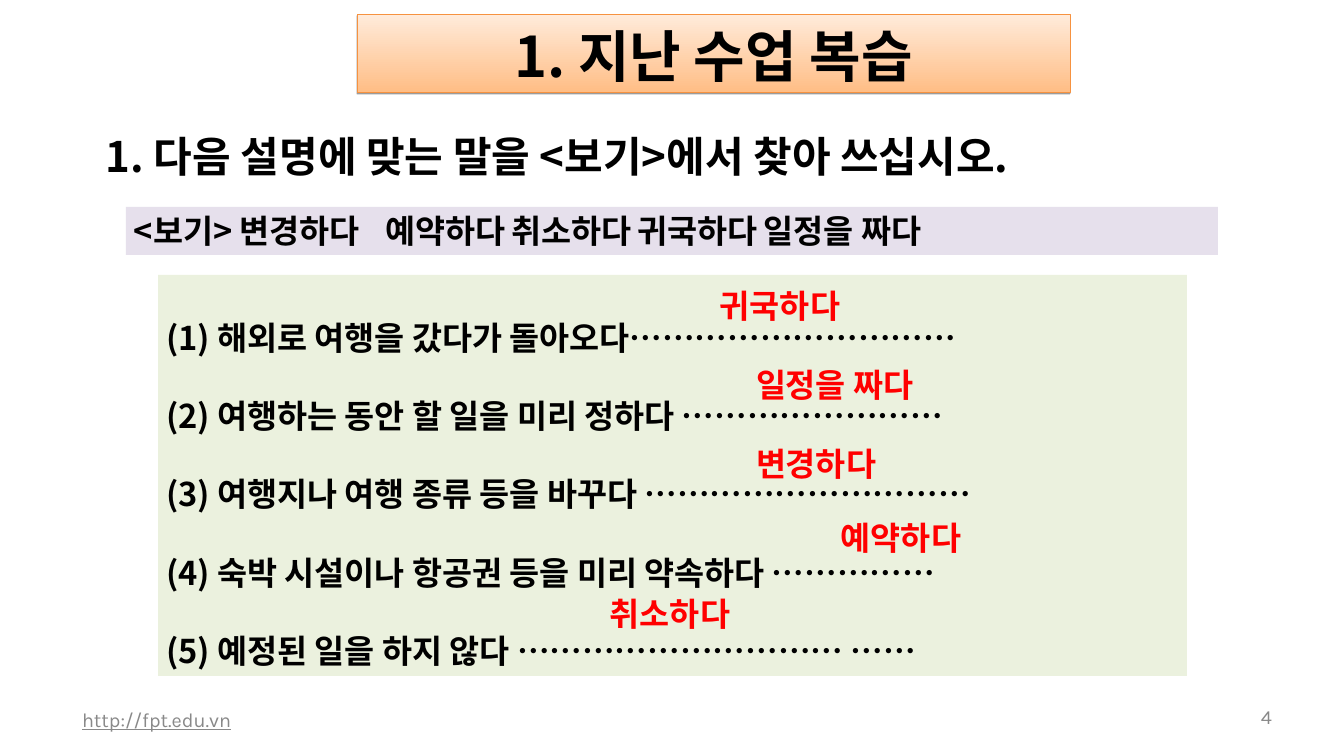
from dataclasses import dataclass

from lxml.etree import SubElement
from pptx import Presentation
from pptx.dml.color import RGBColor
from pptx.enum.text import MSO_ANCHOR, MSO_AUTO_SIZE, PP_ALIGN
from pptx.oxml.ns import qn
from pptx.util import Emu, Pt

PX_PER_INCH = 84


@dataclass(frozen=True)
class Theme:
    korean_font: str = "Noto Sans CJK KR"
    footer_font: str = "Karla"
    black: str = "000000"
    answer: str = "FF0000"
    footer: str = "898989"
    word_bank: str = "E6E0EC"
    questions: str = "EBF1DE"
    title_bottom: str = "FFBE86"
    title_top: str = "FFEBDB"
    title_line: str = "F69240"
    title_size: int = 48
    instruction_size: int = 36
    text_size: int = 28
    footer_size: int = 17
    question_pitch: int = 67


THEME = Theme()


@dataclass(frozen=True)
class Box:
    left: int
    top: int
    width: int
    height: int


@dataclass(frozen=True)
class Answer:
    text: str
    box: Box


QUESTIONS = [
    "(1) 해외로 여행을 갔다가 돌아오다…………………………",
    "(2) 여행하는 동안 할 일을 미리 정하다 ……………………",
    "(3) 여행지나 여행 종류 등을 바꾸다 …………………………",
    "(4) 숙박 시설이나 항공권 등을 미리 약속하다 ……………",
    "(5) 예정된 일을 하지 않다 ………………………… ……",
]
WORD_BANK = ["<보기> 변경하다", "예약하다", "취소하다", "귀국하다", "일정을 짜다"]
WORD_TABS = (313, 498, 663, 828)
ANSWERS = [
    Answer("귀국하다", Box(712, 281, 302, 48)),
    Answer("일정을 짜다", Box(748, 360, 322, 48)),
    Answer("변경하다", Box(748, 439, 322, 48)),
    Answer("예약하다", Box(833, 513, 322, 48)),
    Answer("취소하다", Box(602, 589, 407, 48)),
]


def px(length: int) -> Emu:
    return Emu(round(length * 914400 / PX_PER_INCH))


def place(shape, box: Box) -> None:
    shape.left, shape.top = px(box.left), px(box.top)
    shape.width, shape.height = px(box.width), px(box.height)


def write(shape, lines: list[str], *, size: int = THEME.text_size,
          color: str = THEME.black, font: str = THEME.korean_font,
          bold: bool = True, underline: bool = False,
          align: PP_ALIGN = PP_ALIGN.LEFT, anchor: MSO_ANCHOR = MSO_ANCHOR.TOP,
          pitch: float | None = None, inset: tuple[int, int] = (8, 4),
          tabs: tuple[int, ...] = ()) -> None:
    """Fill the shape with one paragraph per line; pitch is in points."""
    frame = shape.text_frame
    frame.word_wrap = True
    frame.auto_size = MSO_AUTO_SIZE.NONE
    frame.vertical_anchor = anchor
    frame.margin_left = frame.margin_right = px(inset[0])
    frame.margin_top = frame.margin_bottom = px(inset[1])
    for index, line in enumerate(lines):
        paragraph = frame.paragraphs[0] if index == 0 else frame.add_paragraph()
        properties = paragraph._p.get_or_add_pPr()
        properties.set("marL", "0")
        properties.set("indent", "0")
        SubElement(properties, qn("a:buNone"))
        if tabs:
            tab_list = SubElement(properties, qn("a:tabLst"))
            for position in tabs:
                SubElement(tab_list, qn("a:tab"), pos=str(px(position)), algn="l")
        paragraph.alignment = align
        paragraph.space_before = Pt(0)
        paragraph.line_spacing = Pt(pitch or round(size * 1.2, 1))
        run = paragraph.add_run()
        run.text = line
        run.font.size = Pt(size)
        run.font.bold = bold
        run.font.underline = underline
        run.font.color.rgb = RGBColor.from_string(color)
        run.font.name = font
        SubElement(run._r.get_or_add_rPr(), qn("a:ea"), typeface=font)


def add_text(slide, box: Box, lines: list[str], *, fill: str | None = None,
             **text_format) -> None:
    shape = slide.shapes.add_textbox(0, 0, 0, 0)
    place(shape, box)
    if fill:
        shape.fill.solid()
        shape.fill.fore_color.rgb = RGBColor.from_string(fill)
    write(shape, lines, **text_format)


def format_title(title) -> None:
    place(title, Box(357, 14, 713, 78))
    title.fill.gradient()
    title.fill.gradient_angle = 90
    stop_colors = (THEME.title_bottom, THEME.title_top)
    for stop, position, color in zip(title.fill.gradient_stops, (0, 1), stop_colors):
        stop.position = position
        stop.color.rgb = RGBColor.from_string(color)
    title.line.color.rgb = RGBColor.from_string(THEME.title_line)
    title.line.width = Pt(0.75)
    effects = SubElement(title._element.spPr, qn("a:effectLst"))
    shadow = SubElement(effects, qn("a:outerShdw"), blurRad="0",
                        dist=str(Pt(1.6)), dir="5400000", rotWithShape="0")
    shadow_color = SubElement(shadow, qn("a:srgbClr"), val=THEME.black)
    SubElement(shadow_color, qn("a:alpha"), val="38000")
    write(title, ["1. 지난 수업 복습"], size=THEME.title_size,
          align=PP_ALIGN.CENTER, inset=(8, 8))


def format_questions(body) -> None:
    place(body, Box(158, 275, 1029, 401))
    body.fill.solid()
    body.fill.fore_color.rgb = RGBColor.from_string(THEME.questions)
    write(body, QUESTIONS, pitch=THEME.question_pitch)


def main() -> None:
    presentation = Presentation()
    presentation.slide_width, presentation.slide_height = px(1344), px(756)
    slide = presentation.slides.add_slide(presentation.slide_layouts[1])
    format_title(slide.shapes.title)
    format_questions(slide.placeholders[1])
    add_text(slide, Box(98, 127, 1029, 109),
             ["1. 다음 설명에 맞는 말을 <보기>에서 찾아 쓰십시오."],
             size=THEME.instruction_size)
    add_text(slide, Box(126, 207, 1092, 48), ["\t".join(WORD_BANK)],
             fill=THEME.word_bank, tabs=WORD_TABS)
    for answer in ANSWERS:
        add_text(slide, answer.box, [answer.text], color=THEME.answer,
                 anchor=MSO_ANCHOR.MIDDLE)
    footer_format = dict(size=THEME.footer_size, color=THEME.footer,
                         font=THEME.footer_font, bold=False,
                         anchor=MSO_ANCHOR.MIDDLE, inset=(12, 6))
    add_text(slide, Box(70, 700, 426, 40), ["http://fpt.edu.vn"],
             underline=True, **footer_format)
    add_text(slide, Box(1218, 700, 66, 34), ["4"],
             align=PP_ALIGN.RIGHT, **footer_format)
    presentation.save("out.pptx")


if __name__ == "__main__":
    main()
